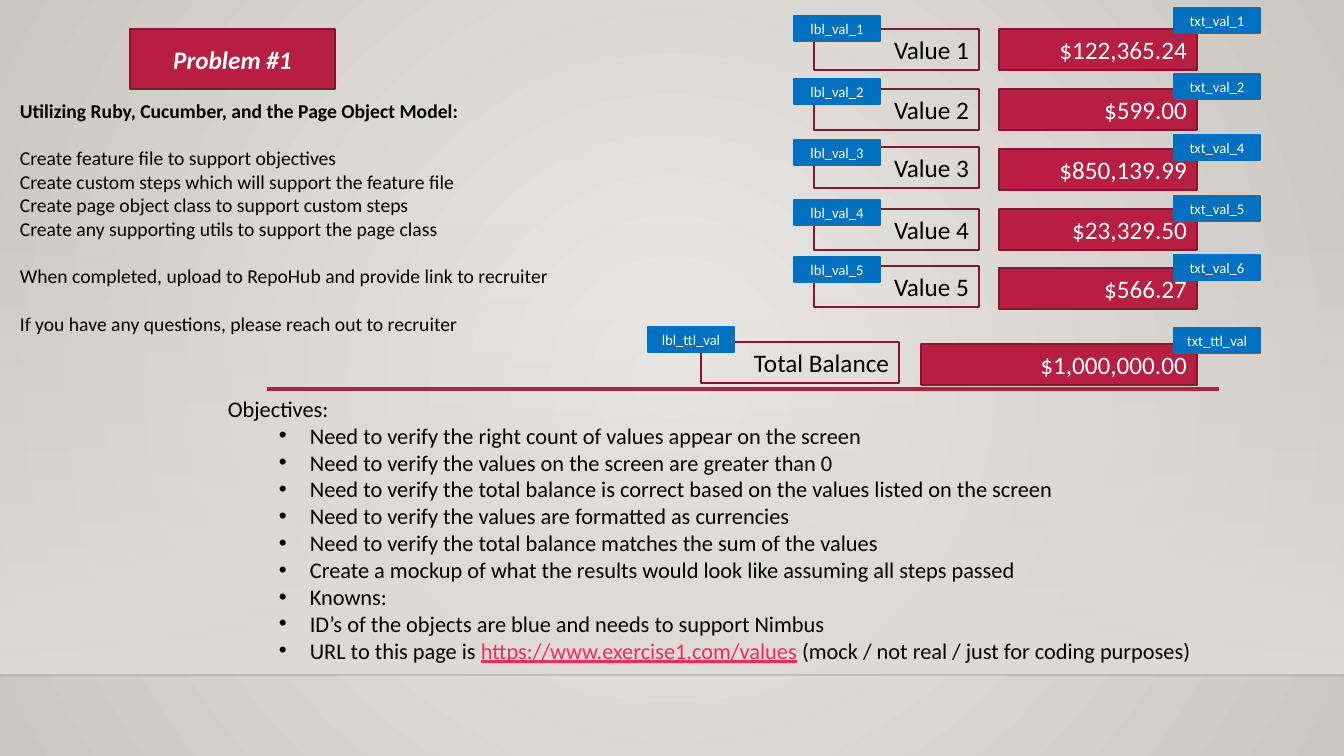
"""Builds the Problem #1 slide: a value form with tagged fields, instructions and objectives."""
from pptx import Presentation
from pptx import util as u
from pptx.dml.color import RGBColor
from pptx.enum import shapes, text
from pptx.oxml.ns import qn
from lxml import etree

CRIMSON, MAROON = RGBColor(0xB7, 0x1E, 0x42), RGBColor(0x87, 0x16, 0x31)
BLUE, PINK = RGBColor(0x00, 0x70, 0xC0), RGBColor(0xFA, 0x2B, 0x5C)
BLACK, WHITE = RGBColor(0, 0, 0), RGBColor(255, 255, 255)
LIGHT, DARK, SAND = RGBColor(0xEC, 0xEA, 0xE7), RGBColor(0xCA, 0xC7, 0xC1), RGBColor(0xDF, 0xDB, 0xD5)
FONT = "Calibri"
W, H = 1344, 756
LEFT, CENTER, RIGHT = text.PP_ALIGN.LEFT, text.PP_ALIGN.CENTER, text.PP_ALIGN.RIGHT

TITLE = "Problem #1"
LABEL = dict(x=814, w=165, tag_x=794)
VALUE = dict(x=999, w=198, tag_x=1174)
TOTAL_LABEL = dict(x=701, w=198, tag_x=648)
TOTAL_VALUE = dict(x=921, w=276, tag_x=1174)
BOX_H, TAG_W, TAG_H = 41, 86, 25

FIELDS = [
    (VALUE, [("$122,365.24", 29, "txt_val_1", 8), ("$599.00", 89, "txt_val_2", 74),
             ("$850,139.99", 149, "txt_val_4", 135), ("$23,329.50", 209, "txt_val_5", 196),
             ("$566.27", 268, "txt_val_6", 255)]),
    (TOTAL_VALUE, [("$1,000,000.00", 344, "txt_ttl_val", 328)]),
    (TOTAL_LABEL, [("Total Balance", 342, "lbl_ttl_val", 327)]),
    (LABEL, [("Value 1", 29, "lbl_val_1", 16), ("Value 2", 89, "lbl_val_2", 79),
             ("Value 3", 147, "lbl_val_3", 140), ("Value 4", 209, "lbl_val_4", 200),
             ("Value 5", 266, "lbl_val_5", 257)]),
]
INSTRUCTIONS = [
    ["Utilizing Ruby, Cucumber, and the Page Object Model:"],
    ["Create feature file to support objectives",
     "Create custom steps which will support the feature file",
     "Create page object class to support custom steps",
     "Create any supporting utils to support the page class"],
    ["When completed, upload to RepoHub and provide link to recruiter"],
    ["If you have any questions, please reach out to recruiter"],
]
OBJECTIVES = [
    "Need to verify the right count of values appear on the screen",
    "Need to verify the values on the screen are greater than 0",
    "Need to verify the total balance is correct based on the values listed on the screen",
    "Need to verify the values are formatted as currencies",
    "Need to verify the total balance matches the sum of the values",
    "Create a mockup of what the results would look like assuming all steps passed",
    "Knowns:",
    "ID’s of the objects are blue and needs to support Nimbus",
]
URL_PARTS = [("URL to this page is ", {}),
             ("https://www.exercise1.com/values", dict(color=PINK, underline=True)),
             (" (mock / not real / just for coding purposes)", {})]


def px(n):
    return u.Emu(round(n * 914400 / 100.8))


def add_run(p, words, size, color=BLACK, **fmt):
    r = p.add_run()
    r.text = words
    r.font.color.rgb = color
    for name, value in dict(name=FONT, size=u.Pt(size), **fmt).items():
        setattr(r.font, name, value)


def paint(shape, fill, line):
    if fill is None:
        shape.fill.background()
    else:
        shape.fill.solid()
        shape.fill.fore_color.rgb = fill
    shape.line.color.rgb = line
    shape.line.width = u.Pt(1.25)


def write(shape, words, size, align, color, **fmt):
    tf = shape.text_frame
    tf.word_wrap = True
    tf.vertical_anchor = text.MSO_ANCHOR.MIDDLE
    p = tf.paragraphs[0]
    p.alignment = align
    add_run(p, words, size, color, **fmt)


def add_box(x, y, w, h):
    shape = s.shapes.add_shape(shapes.MSO_SHAPE.RECTANGLE, *map(px, (x, y, w, h)))
    shape.shadow.inherit = False
    return shape


def add_line(x1, x2, y, color, width):
    line = s.shapes.add_connector(shapes.MSO_CONNECTOR.STRAIGHT, px(x1), px(y), px(x2), px(y))
    line.line.color.rgb = color
    line.line.width = u.Pt(width)
    etree.SubElement(line._element.spPr, qn("a:effectLst"))
    return line


def add_text(x, y, w, h):
    tf = s.shapes.add_textbox(*map(px, (x, y, w, h))).text_frame
    tf.word_wrap = True
    return tf


def next_paragraph(tf):
    p = tf.paragraphs[0]
    return tf.add_paragraph() if p.runs else p


def gradient(fill, first, last):
    fill.gradient()
    for stop, color in zip(fill.gradient_stops, (first, last)):
        stop.color.rgb = color


def set_alpha(color_element, percent):
    etree.SubElement(color_element, qn("a:alpha"), val=str(percent * 1000))


prs = Presentation()
prs.slide_width, prs.slide_height = px(W), px(H)
s = prs.slides.add_slide(prs.slide_layouts[5])

gradient(s.background.fill, LIGHT, DARK)
grad = next(s.background._cSld.iter(qn("a:gradFill")))
grad.remove(grad.find(qn("a:lin")))
circle = etree.SubElement(grad, qn("a:path"), path="circle")
etree.SubElement(circle, qn("a:fillToRect"), **dict.fromkeys("ltrb", "50000"))

title = s.shapes.title
title.left, title.top, title.width, title.height = map(px, (130, 29, 205, 60))
paint(title, CRIMSON, MAROON)
write(title, TITLE, 18, CENTER, WHITE, bold=True, italic=True)

band = add_box(0, 223, W, 452)
gradient(band.fill, SAND, SAND)
band.fill.gradient_angle = 270
band.line.fill.background()
set_alpha(next(band._element.spPr.iter(qn("a:srgbClr"))), 0)

floor = add_line(0, W, 675, BLACK, 1)
set_alpha(next(floor._element.spPr.iter(qn("a:srgbClr"))), 20)
add_line(267, 1219, 389, CRIMSON, 2.5)

for column, rows in FIELDS:
    is_value = column in (VALUE, TOTAL_VALUE)
    for words, y, tag, tag_y in rows:
        box = add_box(column["x"], y, column["w"], BOX_H)
        paint(box, CRIMSON if is_value else None, MAROON)
        write(box, words, 18, RIGHT, WHITE if is_value else BLACK)
        label = add_box(column["tag_x"], tag_y, TAG_W, TAG_H)
        paint(label, BLUE, BLUE)
        write(label, tag, 10.5, CENTER, WHITE)

tf = add_text(218, 390, 999, 308)
add_run(tf.paragraphs[0], "Objectives:", 16)
for parts in [[(line, {})] for line in OBJECTIVES] + [URL_PARTS]:
    p = next_paragraph(tf)
    p.level = 1
    pPr = p._p.get_or_add_pPr()
    pPr.set("marL", str(px(82)))
    pPr.set("indent", str(px(-31)))
    etree.SubElement(pPr, qn("a:buFont"), typeface="Arial")
    etree.SubElement(pPr, qn("a:buChar"), char="•")
    for words, fmt in parts:
        add_run(p, words, 16, **fmt)

tf = add_text(10, 94, 569, 248)
for i, group in enumerate(INSTRUCTIONS):
    for j, words in enumerate(group):
        p = next_paragraph(tf)
        p.alignment = LEFT
        p.space_before = u.Pt(17 if i and not j else 0)
        add_run(p, words, 14, bold=i == 0)

prs.save("out.pptx")
